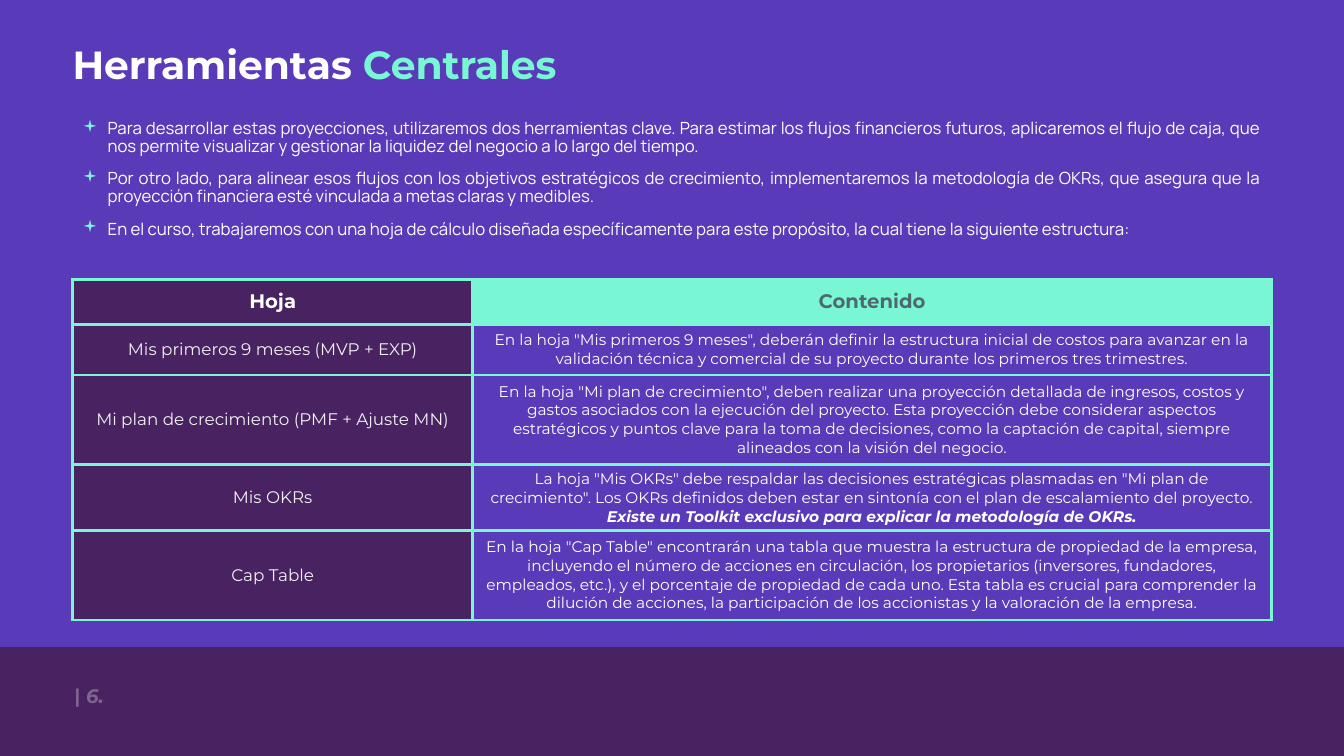
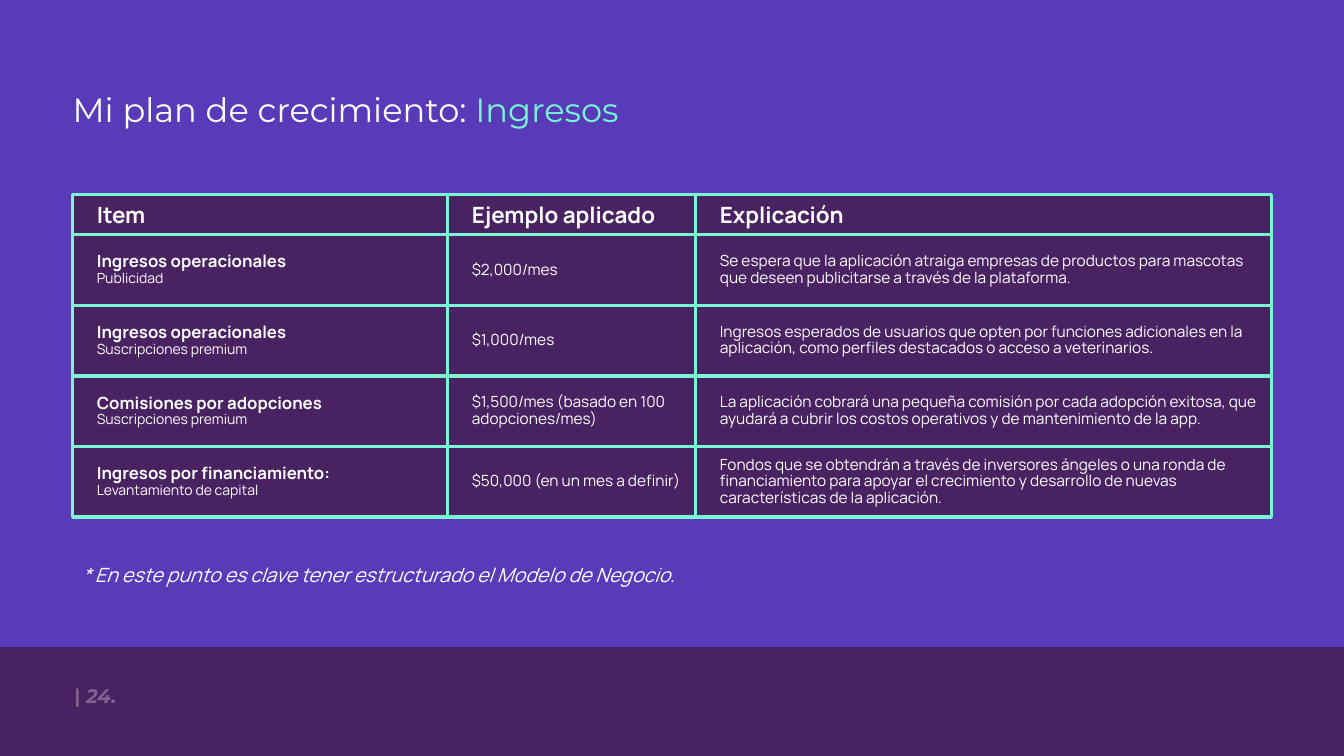
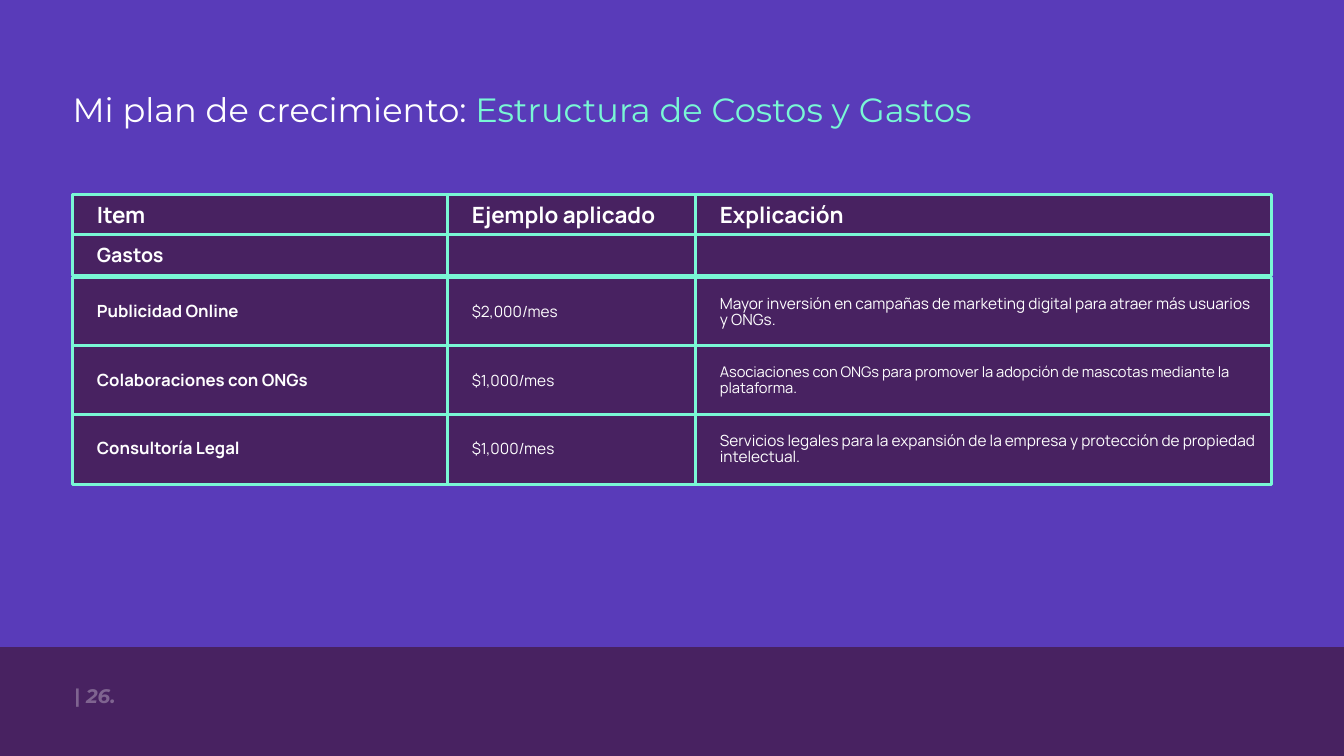
from dataclasses import dataclass

from lxml.etree import SubElement
from pptx import Presentation
from pptx.dml.color import RGBColor
from pptx.enum.shapes import MSO_SHAPE
from pptx.enum.text import MSO_ANCHOR, MSO_AUTO_SIZE, PP_ALIGN
from pptx.oxml.ns import qn
from pptx.util import Inches, Pt

PURPLE = "593BB9"
PLUM = "482261"
MINT = "79F7D5"
WHITE = "FFFFFF"
PALE = "F2F2F2"
SLATE = "4E696D"
HEADING_FONT = "Montserrat"
BODY_FONT = "Manrope"

SLIDE_WIDTH, SLIDE_HEIGHT = 13.33, 7.5
BAND_TOP = 6.42
LEFT, CONTENT_WIDTH = 0.72, 11.89
GRID_LINE = 2.25
PLAN_COLUMNS = [(0, 3.72), (3.72, 2.47), (6.18, 5.71)]
PLAN_HEADER = ["Item", "Ejemplo aplicado", "Explicación"]
LABEL_HEIGHT, ENTRY_HEIGHT = 0.4, 0.7


@dataclass
class Run:
    text: str
    size: float
    color: str = WHITE
    font: str = BODY_FONT
    bold: bool = False
    italic: bool = False


def rgb(color):
    return RGBColor.from_string(color)


def add_runs(paragraph, runs):
    for item in runs:
        run = paragraph.add_run()
        run.text = item.text
        run.font.name = item.font
        run.font.size = Pt(item.size)
        run.font.bold = item.bold
        run.font.italic = item.italic
        run.font.color.rgb = rgb(item.color)


def add_paragraphs(text_frame, paragraphs, alignment=PP_ALIGN.LEFT):
    """Write lists of runs, one list to a paragraph, and return the paragraphs."""
    for index, runs in enumerate(paragraphs):
        paragraph = text_frame.add_paragraph() if index else text_frame.paragraphs[0]
        paragraph.alignment = alignment
        add_runs(paragraph, runs)
    return text_frame.paragraphs


def add_text_box(slide, box, paragraphs, alignment=PP_ALIGN.LEFT, anchor=MSO_ANCHOR.TOP):
    text_frame = slide.shapes.add_textbox(*map(Inches, box)).text_frame
    text_frame.word_wrap = True
    text_frame.vertical_anchor = anchor
    return add_paragraphs(text_frame, paragraphs, alignment)


def add_panel(slide, box, line_color=None):
    panel = slide.shapes.add_shape(MSO_SHAPE.RECTANGLE, *map(Inches, box))
    panel.shadow.inherit = False
    panel.fill.solid()
    panel.fill.fore_color.rgb = rgb(PLUM)
    if line_color:
        panel.line.color.rgb = rgb(line_color)
        panel.line.width = Pt(GRID_LINE)
    else:
        panel.line.fill.background()
    return panel


def add_band(layout, slide):
    """Draw the lower band on a slide and move it to the layout all slides share."""
    band = add_panel(slide, (0, BAND_TOP, SLIDE_WIDTH, SLIDE_HEIGHT - BAND_TOP))
    layout.shapes.element.insert(2, band.element)


def add_page_number(slide, number):
    runs = [Run("| ", 14, font=HEADING_FONT, bold=True),
            Run(f"{number}.", 14, font=HEADING_FONT, bold=True, italic=True)]
    paragraph = add_text_box(slide, (0.64, 6.7, 3, 0.4), [runs], anchor=MSO_ANCHOR.MIDDLE)[0]
    for color in paragraph._p.iter(qn("a:srgbClr")):
        SubElement(color, qn("a:alpha"), val="30000")


def set_title(slide, box, lead, accent, size, bold=False, line_spacing=1.0):
    title = slide.shapes.title
    title.left, title.top, title.width, title.height = map(Inches, box)
    text_frame = title.text_frame
    text_frame.auto_size = MSO_AUTO_SIZE.NONE
    text_frame.word_wrap = True
    text_frame.vertical_anchor = MSO_ANCHOR.TOP
    text_frame.margin_left = 0
    runs = [Run(lead, size, WHITE, HEADING_FONT, bold),
            Run(accent, size, MINT, HEADING_FONT, bold)]
    add_paragraphs(text_frame, [runs])[0].line_spacing = line_spacing


def add_bullets(slide, box, texts):
    paragraphs = add_text_box(slide, box, [[Run(text, 12)] for text in texts],
                              PP_ALIGN.JUSTIFY, MSO_ANCHOR.MIDDLE)
    for index, paragraph in enumerate(paragraphs):
        paragraph.line_spacing = 0.9
        if index:
            paragraph.space_before = Pt(10)
        properties = paragraph._p.get_or_add_pPr()
        properties.set("marL", str(Inches(0.25)))
        properties.set("indent", str(-Inches(0.25)))
        color = SubElement(properties, qn("a:buClr"))
        SubElement(color, qn("a:srgbClr"), val=MINT)
        SubElement(properties, qn("a:buFont"), typeface="Wingdings")
        SubElement(properties, qn("a:buChar"), char="▪")


def set_borders(cell):
    properties = cell._tc.get_or_add_tcPr()
    for side in ("lnL", "lnR", "lnT", "lnB"):
        line = SubElement(properties, qn(f"a:{side}"), w=str(Pt(GRID_LINE)))
        fill = SubElement(line, qn("a:solidFill"))
        SubElement(fill, qn("a:srgbClr"), val=MINT)


def add_sheet_table(slide, left, top, columns, rows, contents):
    cells = [[[Run("Hoja", 14, WHITE, HEADING_FONT, True)],
              [Run("Contenido", 14, SLATE, HEADING_FONT, True)]]]
    for sheet, text, *emphasis in contents:
        runs = [Run(text, 11, font=HEADING_FONT)]
        runs += [Run(item, 11, font=HEADING_FONT, bold=True, italic=True) for item in emphasis]
        cells.append([[Run(sheet, 12, PALE, HEADING_FONT)], runs])

    table = slide.shapes.add_table(
        len(rows), len(columns), Inches(left), Inches(top),
        Inches(sum(columns)), Inches(sum(rows))).table
    table.first_row = table.horz_banding = False
    for column, width in zip(table.columns, columns):
        column.width = Inches(width)
    for row, height in zip(table.rows, rows):
        row.height = Inches(height)
    for row_index, row_cells in enumerate(cells):
        fills = [PLUM, PURPLE if row_index else MINT]
        for column_index, runs in enumerate(row_cells):
            cell = table.cell(row_index, column_index)
            set_borders(cell)
            cell.fill.solid()
            cell.fill.fore_color.rgb = rgb(fills[column_index])
            cell.vertical_anchor = MSO_ANCHOR.MIDDLE
            add_paragraphs(cell.text_frame, [runs], PP_ALIGN.CENTER)


def add_plan_row(slide, left, top, height, cells):
    """Place one outlined panel per column; a cell is a list of paragraphs."""
    for (offset, width), paragraphs in zip(PLAN_COLUMNS, cells):
        panel = add_panel(slide, (left + offset, top, width, height), MINT)
        if not paragraphs:
            continue
        text_frame = panel.text_frame
        text_frame.word_wrap = True
        text_frame.vertical_anchor = MSO_ANCHOR.MIDDLE
        text_frame.margin_left = Inches(0.24)
        text_frame.margin_top = text_frame.margin_bottom = 0
        for paragraph in add_paragraphs(text_frame, paragraphs):
            paragraph.line_spacing = 0.9 if height == ENTRY_HEIGHT else 1.0


def plan_entry(item, detail, example, explanation, explanation_size=11):
    item_cell = [[Run(item, 12, bold=True)]]
    if detail:
        item_cell.append([Run(detail, 10)])
    return [item_cell, [[Run(example, 11)]], [[Run(explanation, explanation_size)]]]


def build_tools_slide(slide):
    set_title(slide, (LEFT, 0.35, CONTENT_WIDTH, 0.7), "Herramientas ", "Centrales", 28, bold=True)
    add_bullets(slide, (LEFT, 1.2, CONTENT_WIDTH, 1.16), [
        "Para desarrollar estas proyecciones, utilizaremos dos herramientas clave. Para estimar "
        "los flujos financieros futuros, aplicaremos el flujo de caja, que nos permite visualizar "
        "y gestionar la liquidez del negocio a lo largo del tiempo.",
        "Por otro lado, para alinear esos flujos con los objetivos estratégicos de crecimiento, "
        "implementaremos la metodología de OKRs, que asegura que la proyección financiera esté "
        "vinculada a metas claras y medibles.",
        "En el curso, trabajaremos con una hoja de cálculo diseñada específicamente para este "
        "propósito, la cual tiene la siguiente estructura:",
    ])
    add_sheet_table(slide, LEFT, 2.77, [3.97, 7.92], [0.45, 0.5, 0.89, 0.65, 0.89], [
        ("Mis primeros 9 meses (MVP + EXP)",
         'En la hoja "Mis primeros 9 meses", deberán definir la estructura inicial de costos para '
         "avanzar en la validación técnica y comercial de su proyecto durante los primeros tres "
         "trimestres."),
        ("Mi plan de crecimiento (PMF + Ajuste MN)",
         'En la hoja "Mi plan de crecimiento", deben realizar una proyección detallada de '
         "ingresos, costos y gastos asociados con la ejecución del proyecto. Esta proyección debe "
         "considerar aspectos estratégicos y puntos clave para la toma de decisiones, como la "
         "captación de capital, siempre alineados con la visión del negocio."),
        ("Mis OKRs",
         'La hoja "Mis OKRs" debe respaldar las decisiones estratégicas plasmadas en "Mi plan de '
         'crecimiento". Los OKRs definidos deben estar en sintonía con el plan de escalamiento '
         "del proyecto. ",
         "Existe un Toolkit exclusivo para explicar la metodología de OKRs."),
        ("Cap Table",
         'En la hoja "Cap Table" encontrarán una tabla que muestra la estructura de propiedad de '
         "la empresa, incluyendo el número de acciones en circulación, los propietarios "
         "(inversores, fundadores, empleados, etc.), y el porcentaje de propiedad de cada uno. "
         "Esta tabla es crucial para comprender la dilución de acciones, la participación de los "
         "accionistas y la valoración de la empresa."),
    ])


def build_plan_slide(slide, topic, first_entry_top, pitch, entries):
    set_title(slide, (LEFT, 0.88, CONTENT_WIDTH, 0.6), "Mi plan de crecimiento: ", topic, 24,
              line_spacing=0.9)
    header = [[[Run(text, 16, bold=True)]] for text in PLAN_HEADER]
    add_plan_row(slide, LEFT, 1.93, LABEL_HEIGHT, header)
    for index, cells in enumerate(entries):
        add_plan_row(slide, LEFT, first_entry_top + index * pitch, ENTRY_HEIGHT, cells)


def build_income_slide(slide):
    build_plan_slide(slide, "Ingresos", 2.33, 0.7, [
        plan_entry("Ingresos operacionales", "Publicidad", "$2,000/mes",
                   "Se espera que la aplicación atraiga empresas de productos para mascotas que "
                   "deseen publicitarse a través de la plataforma."),
        plan_entry("Ingresos operacionales", "Suscripciones premium", "$1,000/mes",
                   "Ingresos esperados de usuarios que opten por funciones adicionales en la "
                   "aplicación, como perfiles destacados o acceso a veterinarios."),
        plan_entry("Comisiones por adopciones", "Suscripciones premium",
                   "$1,500/mes (basado en 100 adopciones/mes)",
                   "La aplicación cobrará una pequeña comisión por cada adopción exitosa, que "
                   "ayudará a cubrir los costos operativos y de mantenimiento de la app."),
        plan_entry("Ingresos por financiamiento:", "Levantamiento de capital",
                   "$50,000 (en un mes a definir)",
                   "Fondos que se obtendrán a través de inversores ángeles o una ronda de "
                   "financiamiento para apoyar el crecimiento y desarrollo de nuevas "
                   "características de la aplicación."),
    ])
    note = Run("* En este punto es clave tener estructurado el Modelo de Negocio.", 14, italic=True)
    add_text_box(slide, (LEFT, 5.54, 8.31, 0.34), [[note]], PP_ALIGN.JUSTIFY)


def build_costs_slide(slide):
    add_plan_row(slide, LEFT, 2.33, LABEL_HEIGHT, [[[Run("Gastos", 14, bold=True)]], [], []])
    build_plan_slide(slide, "Estructura de Costos y Gastos", 2.75, 0.68, [
        plan_entry("Publicidad Online", None, "$2,000/mes",
                   "Mayor inversión en campañas de marketing digital para atraer más usuarios y "
                   "ONGs."),
        plan_entry("Colaboraciones con ONGs", None, "$1,000/mes",
                   "Asociaciones con ONGs para promover la adopción de mascotas mediante la "
                   "plataforma.", 10.5),
        plan_entry("Consultoría Legal", None, "$1,000/mes",
                   "Servicios legales para la expansión de la empresa y protección de propiedad "
                   "intelectual."),
    ])


def main():
    presentation = Presentation()
    presentation.slide_width = Inches(SLIDE_WIDTH)
    presentation.slide_height = Inches(SLIDE_HEIGHT)
    background = presentation.slide_master.background.fill
    background.solid()
    background.fore_color.rgb = rgb(PURPLE)
    layout = presentation.slide_layouts.get_by_name("Title Only")
    pages = [(6, build_tools_slide), (24, build_income_slide), (26, build_costs_slide)]
    for number, build in pages:
        slide = presentation.slides.add_slide(layout)
        build(slide)
        add_page_number(slide, number)
    add_band(layout, presentation.slides[0])
    presentation.save("out.pptx")


if __name__ == "__main__":
    main()
